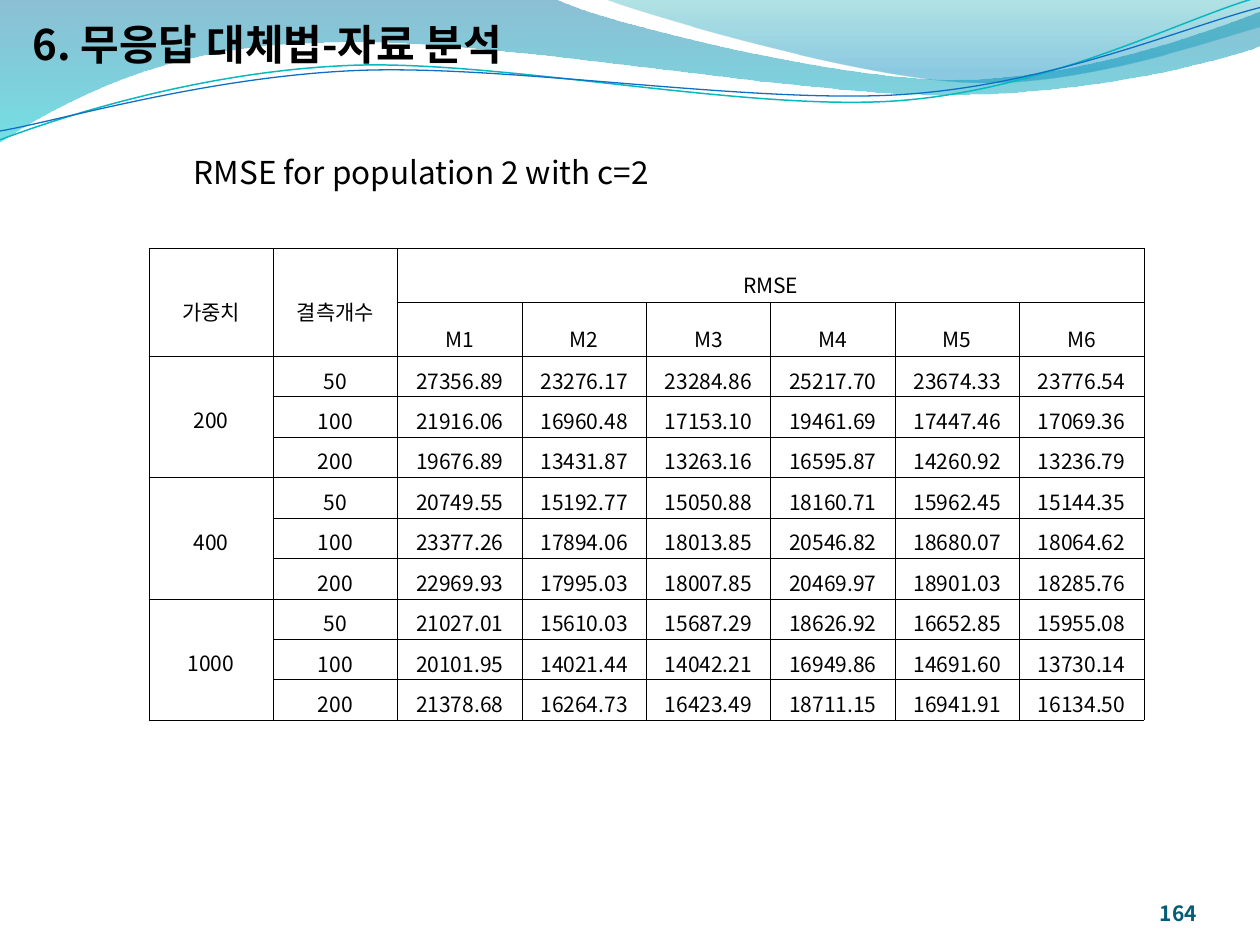
from lxml import etree
from pptx import Presentation
from pptx.dml.color import RGBColor
from pptx.enum.text import MSO_ANCHOR, MSO_AUTO_SIZE, PP_ALIGN
from pptx.oxml.ns import qn
from pptx.util import Cm, Pt

LEFT, CENTER, RIGHT = PP_ALIGN.LEFT, PP_ALIGN.CENTER, PP_ALIGN.RIGHT
TOP, MIDDLE, BOTTOM = MSO_ANCHOR.TOP, MSO_ANCHOR.MIDDLE, MSO_ANCHOR.BOTTOM
NO_FIT = MSO_AUTO_SIZE.NONE
FONT = "Noto Sans CJK KR"
BLACK = "000000"
UNITS_PER_INCH = 1000
rgb = RGBColor.from_string


def write(frame, text, size=12, color=BLACK, bold=False, align=LEFT, spacing=1.0):
    paragraph = frame.paragraphs[0]
    paragraph.alignment = align
    paragraph.line_spacing = spacing
    run = paragraph.add_run()
    run.text = text
    run.font.name = FONT
    run.font.size = Pt(size)
    run.font.bold = bold
    run.font.color.rgb = rgb(color)
    etree.SubElement(run.font._element, qn("a:ea"), typeface=FONT)
    return paragraph


def draw_wave(shapes, start, segments, closed):
    points = [start]
    for segment in segments:
        points += zip(segment[::2], segment[1::2])
    scaled = [(x * UNITS_PER_INCH, y * UNITS_PER_INCH) for x, y in points]
    builder = shapes.build_freeform(*scaled[0], scale=Cm(2.54) / UNITS_PER_INCH)
    builder.add_line_segments(scaled[1:], close=closed)
    wave = builder.convert_to_shape()
    wave.shadow.inherit = False
    vertices = iter(list(wave.element.spPr.iter(qn("a:lnTo"))))
    for segment in segments:
        corner = next(vertices)
        if len(segment) == 6:
            corner.tag = qn("a:cubicBezTo")
            for vertex in (next(vertices), next(vertices)):
                corner.append(vertex[0])
                vertex.getparent().remove(vertex)
    return wave


prs = Presentation()
prs.slide_width, prs.slide_height = Cm(25.4), Cm(19.05)
slide = prs.slides.add_slide(prs.slide_layouts[5])
shapes = slide.shapes

bands = [
    ((0, -0.01),
     [(4.4, -0.01), (4.76, 0.17, 6.64, 0.63, 7.58, 0.63), (8.53, 0.63, 9.58, 0.26, 10, 0.09),
      (10.01, 0.36), (9.83, 0.44, 8.7, 0.76, 7.46, 0.75), (6.22, 0.75, 3.82, 0.28, 2.57, 0.34),
      (1.29, 0.35, 0.46, 0.83, -0.01, 1.13), (0, -0.01)],
     [(0, "0074A1", 45), (1, "00C6CF", 55)]),
    ((4.79, -0.01),
     [(5.09, 0.11, 6.82, 0.62, 7.69, 0.65), (8.56, 0.69, 9.61, 0.32, 10, 0.21), (10, 0),
      (4.79, -0.01)],
     [(0, "00A1A9", 30), (0.8, "008BBF", 45)]),
]
for start, segments, gradient in bands:
    band = draw_wave(shapes, start, segments, True)
    band.line.fill.background()
    band.fill.gradient()
    band.fill.gradient_angle = 270
    for stop, (position, color, _) in zip(band.fill.gradient_stops, gradient):
        stop.position = position
        stop.color.rgb = rgb(color)
    for color_node, (_, _, opacity) in zip(band.element.spPr.iter(qn("a:srgbClr")), gradient):
        etree.SubElement(color_node, qn("a:alpha"), val=str(opacity * 1000))

strands = [
    ((0, 1.11),
     [(0.48, 0.93, 1.58, 0.57, 2.77, 0.52), (3.95, 0.47, 5.93, 0.89, 7.13, 0.8),
      (8.33, 0.71, 9.38, 0.15, 9.98, -0.02)], "0AB8BF", 0.85),
    ((0, 1.04),
     [(0.47, 0.96, 1.64, 0.61, 2.83, 0.56), (4.03, 0.51, 5.97, 0.83, 7.17, 0.75),
      (8.36, 0.67, 9.41, 0.21, 10, 0.06)], "0F6FC6", 0.75),
]
for start, segments, color, width in strands:
    strand = draw_wave(shapes, start, segments, False)
    strand.fill.background()
    strand.line.color.rgb = rgb(color)
    strand.line.width = Pt(width)

page_number = shapes.add_textbox(Cm(22.02), Cm(17.65), Cm(2.11), Cm(1.02)).text_frame
page_number.margin_left = page_number.margin_right = 0
page_number.margin_top = page_number.margin_bottom = 0
page_number.word_wrap = True
page_number.vertical_anchor = BOTTOM
write(page_number, "164", color="045D75", bold=True, align=RIGHT)

title = shapes.title
title.left, title.top, title.width, title.height = Cm(0.41), Cm(0), Cm(11), Cm(1.78)
title.text_frame.word_wrap = False
title.text_frame.auto_size = NO_FIT
title.text_frame.vertical_anchor = MIDDLE
write(title.text_frame, "6. 무응답 대체법-자료 분석", size=24, bold=True)
title.element.getparent().append(title.element)

caption = shapes.add_textbox(Cm(2.39), Cm(2.97), Cm(21.23), Cm(1.02)).text_frame
caption.word_wrap = True
caption.vertical_anchor = TOP
caption_line = write(caption, "RMSE for population 2 with c=2", size=18)
caption_line.level = 1
caption_line._p.get_or_add_pPr().set("marL", str(Cm(1.27)))

rows = [
    ["가중치", "결측개수", "RMSE", "", "", "", "", ""],
    ["", "", "M1", "M2", "M3", "M4", "M5", "M6"],
    ["200", "50", "27356.89", "23276.17", "23284.86", "25217.70", "23674.33", "23776.54"],
    ["", "100", "21916.06", "16960.48", "17153.10", "19461.69", "17447.46", "17069.36"],
    ["", "200", "19676.89", "13431.87", "13263.16", "16595.87", "14260.92", "13236.79"],
    ["400", "50", "20749.55", "15192.77", "15050.88", "18160.71", "15962.45", "15144.35"],
    ["", "100", "23377.26", "17894.06", "18013.85", "20546.82", "18680.07", "18064.62"],
    ["", "200", "22969.93", "17995.03", "18007.85", "20469.97", "18901.03", "18285.76"],
    ["1000", "50", "21027.01", "15610.03", "15687.29", "18626.92", "16652.85", "15955.08"],
    ["", "100", "20101.95", "14021.44", "14042.21", "16949.86", "14691.60", "13730.14"],
    ["", "200", "21378.68", "16264.73", "16423.49", "18711.15", "16941.91", "16134.50"],
]
HEADER_ROWS = 2
table_width, table_height, header_height = Cm(20.06), Cm(9.52), Cm(1.09)
body_height = (table_height - HEADER_ROWS * header_height) // (len(rows) - HEADER_ROWS)
rmse = shapes.add_table(len(rows), len(rows[0]), Cm(3), Cm(5), table_width, table_height).table
rmse.first_row = rmse.horz_banding = False

for r, values in enumerate(rows):
    is_header = r < HEADER_ROWS
    rmse.rows[r].height = header_height if is_header else body_height
    for c, value in enumerate(values):
        cell = rmse.cell(r, c)
        cell.margin_left = cell.margin_right = Cm(0.18)
        cell.margin_top = cell.margin_bottom = Cm(0.05)
        cell.vertical_anchor = MIDDLE
        properties = cell._tc.get_or_add_tcPr()
        for side in ("lnL", "lnR", "lnT", "lnB"):
            border = etree.SubElement(properties, qn("a:" + side), w=str(Pt(0.28)))
            border_fill = etree.SubElement(border, qn("a:solidFill"))
            etree.SubElement(border_fill, qn("a:srgbClr"), val=BLACK)
        cell.fill.background()
        if value:
            write(cell.text_frame, value, align=CENTER, spacing=1.6 if is_header else 1.2)

merges = [(0, 0, 1, 0), (0, 1, 1, 1), (0, 2, 0, 7)]
merges += [(r, 0, r + 2, 0) for r in range(HEADER_ROWS, len(rows), 3)]
for top, left, bottom, right in merges:
    rmse.cell(top, left).merge(rmse.cell(bottom, right))

prs.save("out.pptx")
